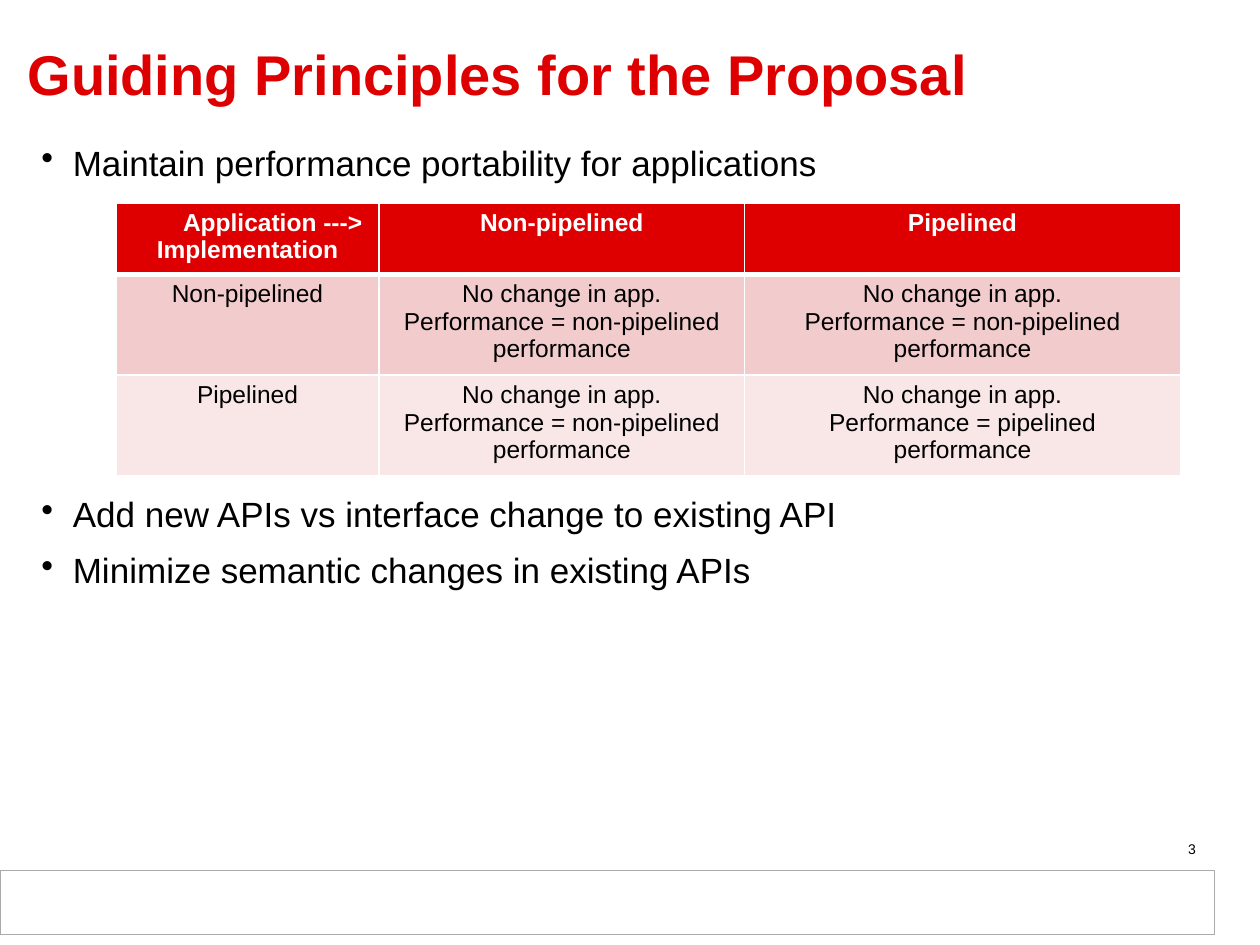
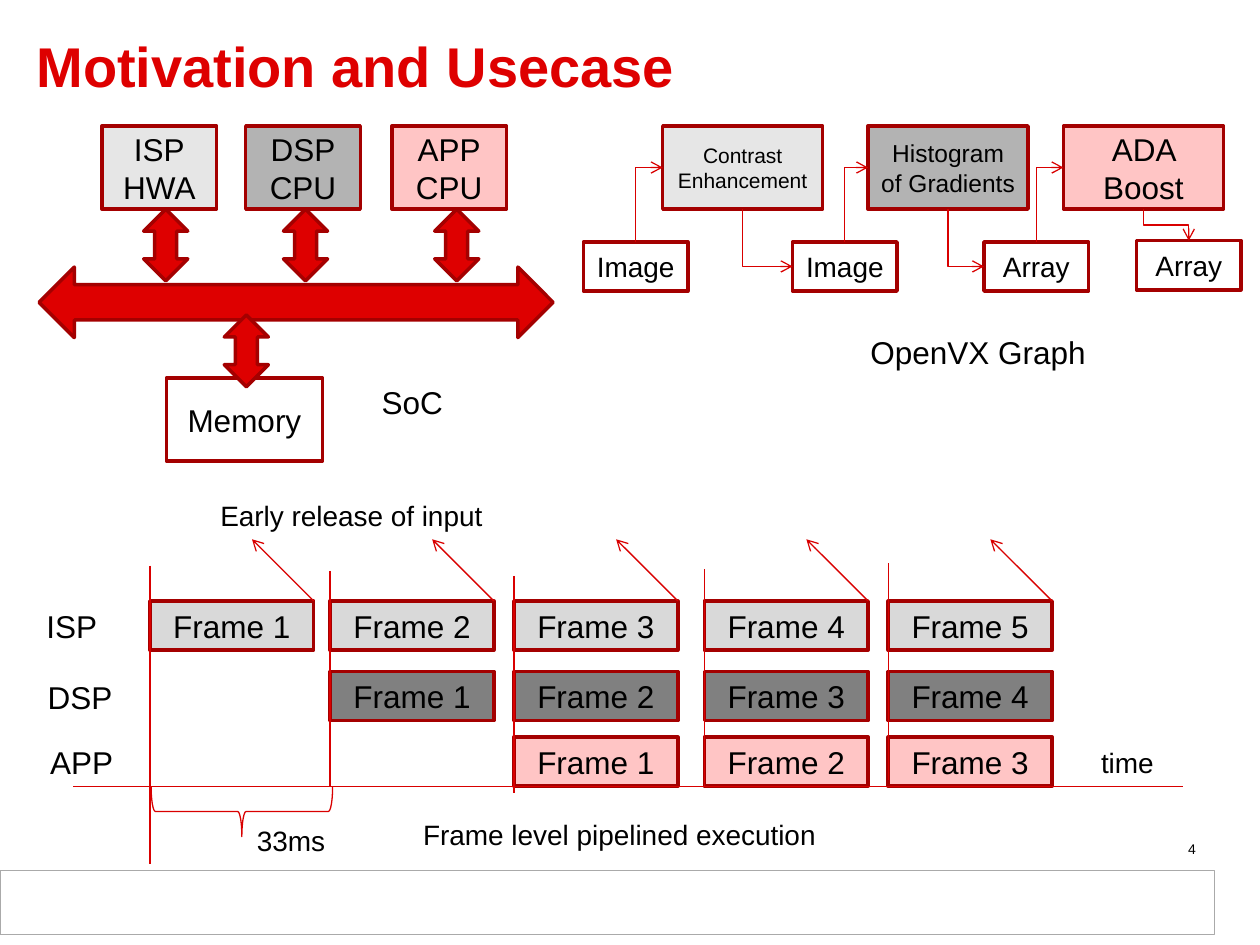
from lxml import etree
from pptx import Presentation
from pptx import util as u
from pptx.dml.color import RGBColor
from pptx.enum import shapes, text
from pptx.oxml.ns import qn

RED, DARK_RED, LINE_RED = "DE0000", "A40000", "D90000"
WHITE, BLACK, PINK = "FFFFFF", "000000", "FFC5C5"
LIGHT, MID = "E6E6E6", "B3B3B3"
SHAPE = shapes.MSO_SHAPE
CENTER, RIGHT = text.PP_ALIGN.CENTER, text.PP_ALIGN.RIGHT
MIDDLE = text.MSO_ANCHOR.MIDDLE
INSET = 0.09


def color(value):
    """Turn a hex string into a colour."""
    return RGBColor.from_string(value)


def inches(*lengths):
    """Convert several lengths to inches."""
    return [u.Inches(v) for v in lengths]


def write(tf, lines, size, hue=BLACK, bold=False, **formats):
    """Fill a text frame with one formatted paragraph per line."""
    for i, line in enumerate(lines):
        p = tf.paragraphs[0] if i == 0 else tf.add_paragraph()
        for name, value in formats.items():
            setattr(p, name, value)
        r = p.add_run()
        r.text = line
        font = {"name": "Arial", "size": u.Pt(size), "bold": bold}
        for name, value in font.items():
            setattr(r.font, name, value)
        r.font.color.rgb = color(hue)


def label(sp, x, y, w, h, line, size, wrap=False, anchor=None, **formats):
    """Add a text box with one line."""
    tf = sp.add_textbox(*inches(x, y, w, h)).text_frame
    tf.word_wrap = wrap
    if anchor is not None:
        tf.vertical_anchor = anchor
    write(tf, [line], size, **formats)


def block(sp, x, y, w, h, fill=None, line=DARK_RED, weight=2, kind=SHAPE.RECTANGLE, lines=(), size=18):
    """Add a preset shape with centred text."""
    shape = sp.add_shape(kind, *inches(x, y, w, h))
    shape.shadow.inherit = False
    if fill:
        shape.fill.solid()
        shape.fill.fore_color.rgb = color(fill)
    else:
        shape.fill.background()
    if line:
        shape.line.color.rgb = color(line)
        shape.line.width = u.Pt(weight)
    else:
        shape.line.fill.background()
    tf = shape.text_frame
    settings = {"word_wrap": True, "vertical_anchor": MIDDLE,
                "margin_left": u.Inches(INSET), "margin_right": u.Inches(INSET)}
    for name, value in settings.items():
        setattr(tf, name, value)
    write(tf, lines, size, alignment=CENTER)
    return shape


def line(sp, x1, y1, x2, y2, arrow=False, kind=shapes.MSO_CONNECTOR.STRAIGHT):
    """Add a thin red connector, with an optional arrowhead at its end."""
    c = sp.add_connector(kind, *inches(x1, y1, x2, y2))
    c.line.color.rgb = color(LINE_RED)
    c.line.width = u.Pt(0.75)
    if arrow:
        etree.SubElement(c.line._get_or_add_ln(), qn("a:tailEnd"), type="arrow")
    etree.SubElement(c.element.spPr, qn("a:effectLst"))
    return c


def elbow(sp, start, start_site, end, end_site):
    """Join two shapes by a bent arrow that leaves vertically."""
    c = line(sp, 0, 0, 1, 1, True, shapes.MSO_CONNECTOR.ELBOW)
    c.begin_connect(start, start_site)
    c.end_connect(end, end_site)
    dx, dy = c.end_x - c.begin_x, c.end_y - c.begin_y
    mid_x, mid_y = c.begin_x + dx // 2, c.begin_y + dy // 2
    w, h = abs(dy), abs(dx)
    frame = {"left": mid_x - w // 2, "top": mid_y - h // 2, "width": w, "height": h}
    for name, value in frame.items():
        setattr(c, name, value)
    xfrm = c.element.spPr.find(qn("a:xfrm"))
    xfrm.set("rot", str((90 if dy < 0 else 270) * 60000))
    xfrm.set("flipH", "1")
    xfrm.set("flipV", "1" if dy < 0 else "0")
    if end_site == 1:
        c.element.spPr.find(qn("a:prstGeom")).set("prst", "bentConnector2")


def base_slide(prs, title, x, y, number):
    """Add a slide with its title, footer band and page number."""
    s = prs.slides.add_slide(prs.slide_layouts[6])
    block(s.shapes, 0.05, 6.92, 9.56, 0.5, WHITE, None)
    block(s.shapes, 0, 6.91, 9.64, 0.51, WHITE, "AAAAAA", 0.75)
    label(s.shapes, x, y, 9.25, 0.89, title, 32, True, MIDDLE, hue=RED, bold=True, line_spacing=0.85)
    label(s.shapes, 7.26, 6.62, 2.33, 0.23, number, 8, True, alignment=RIGHT)
    return s


def indent(p, left, first=0):
    """Set the left and first-line indents of a paragraph."""
    pPr = p._p.get_or_add_pPr()
    pPr.set("marL", str(u.Inches(left)))
    pPr.set("indent", str(u.Inches(first)))
    return pPr


def bullets(s, x, y, w, h, items):
    """Add bulleted lines, each with its own space before."""
    tf = s.shapes.add_textbox(*inches(x, y, w, h)).text_frame
    tf.word_wrap = True
    write(tf, [item for item, _ in items], 20)
    for p, (_, gap) in zip(tf.paragraphs, items):
        p.space_before = u.Pt(gap)
        etree.SubElement(indent(p, 0.25, -0.25), qn("a:buChar"), char="•")


def borders(cell, header):
    """Draw white cell borders, thicker below the header."""
    tcPr = cell._tc.get_or_add_tcPr()
    for side in "LRTB":
        weight = 3 if header and side == "B" else 1
        ln = etree.SubElement(tcPr, qn("a:ln" + side), w=str(u.Pt(weight)))
        fill = etree.SubElement(ln, qn("a:solidFill"))
        etree.SubElement(fill, qn("a:srgbClr"), val=WHITE)


def performance_table(s, x, y, widths, heights):
    """Compare application and implementation kinds in a table."""
    def outcome(kind):
        return ["No change in app.", f"Performance = {kind} performance"]

    rows = [
        [["Application --->", "Implementation"], ["Non-pipelined"], ["Pipelined"]],
        [["Non-pipelined"], outcome("non-pipelined"), outcome("non-pipelined")],
        [["Pipelined"], outcome("non-pipelined"), outcome("pipelined")],
    ]
    table = s.shapes.add_table(3, 3, *inches(x, y, sum(widths), sum(heights))).table
    for column, w in zip(table.columns, widths):
        column.width = u.Inches(w)
    for i, (row, fill) in enumerate(zip(rows, (RED, "F2CCCC", "F9E7E7"))):
        table.rows[i].height = u.Inches(heights[i])
        for j, lines in enumerate(row):
            cell = table.cell(i, j)
            borders(cell, i == 0)
            cell.fill.solid()
            cell.fill.fore_color.rgb = color(fill)
            write(cell.text_frame, lines, 14, BLACK if i else WHITE, i == 0, alignment=CENTER)
    indent(table.cell(0, 0).text_frame.paragraphs[0], 0.4)


def soc_diagram(s, x, y):
    """Draw the processors, the bus and the memory."""
    sp = s.shapes.add_group_shape().shapes
    block(sp, x, y + 1.12, 4.08, 0.56, RED, kind=SHAPE.LEFT_RIGHT_ARROW)
    units = [(0.5, LIGHT, ["ISP", "HWA"]), (1.64, MID, ["DSP", "CPU"]), (2.8, PINK, ["APP", "CPU"])]
    for dx, fill, lines in units:
        block(sp, x + dx, y, 0.91, 0.66, fill, lines=lines)
    block(sp, x + 1.01, y + 2, 1.24, 0.66, lines=["Memory"])
    for dx, dy in [(0.83, 0.66), (1.94, 0.66), (3.14, 0.66), (1.47, 1.5)]:
        block(sp, x + dx, y + dy, 0.35, 0.57, RED, kind=SHAPE.UP_DOWN_ARROW)
    label(sp, x + 2.62, y + 1.99, 0.69, 0.4, "SoC", 18)


def vision_graph(s, x, y):
    """Draw the processing stages and the data between them."""
    sp = s.shapes.add_group_shape().shapes
    stages = [block(sp, x + dx, y, 1.27, 0.66, fill, lines=[name], size=size)
              for dx, fill, name, size in [(0.63, LIGHT, "Contrast Enhancement", 12),
                                           (2.26, MID, "Histogram of Gradients", 14),
                                           (3.81, PINK, "ADA Boost", 18)]]
    data = [block(sp, x + dx, y + dy, 0.83, 0.39, lines=[name], size=16)
            for dx, dy, name in [(0, 0.92, "Image"), (1.66, 0.92, "Image"),
                                 (3.18, 0.92, "Array"), (4.39, 0.91, "Array")]]
    for i, stage in enumerate(stages):
        elbow(sp, data[i], 0, stage, 1)
        elbow(sp, stage, 2, data[i + 1], 0 if i == 2 else 1)
    label(sp, x + 2.18, y + 1.59, 1.93, 0.4, "OpenVX Graph", 18)


def timeline(s, x, y):
    """Draw the pipelined frames over time."""
    sp = s.shapes
    frame_w, release = 1.3, 0.49
    columns = [(0.92, 0.58, 2.95), (2.35, 0.62, 2.33), (3.81, 0.66, 2.38),
               (5.32, 0.61, 2.33), (6.78, 0.56, 2.28)]
    lanes = [("ISP", 0, 0.86, 0.61, "D9D9D9"), ("DSP", 0.01, 1.42, 0.72, "808080"),
             ("APP", 0.03, 1.94, 0.76, PINK)]
    for delay, (name, name_dx, dy, name_w, fill) in enumerate(lanes):
        label(sp, x + name_dx, y + dy, name_w, 0.4, name, 18)
        for n, (dx, _, _) in enumerate(columns[delay:], 1):
            block(sp, x + dx, y + dy, frame_w, 0.39, fill, lines=[f"Frame {n}"])
    line(sp, x + 0.31, y + 2.33, x + 9.12, y + 2.33)
    for dx, top, bottom in columns:
        line(sp, x + dx, y + top, x + dx, y + bottom)
        corner_x, corner_y = x + dx + frame_w, y + 0.86
        line(sp, corner_x, corner_y, corner_x - release, corner_y - release, True)
    brace = block(sp, x + 1.45, y + 1.81, 0.4, 1.44, None, LINE_RED, 0.75, SHAPE.LEFT_BRACE)
    brace.rotation = 270
    label(sp, x + 1.67, y + 2.58, 0.75, 0.37, "33ms", 16)
    label(sp, x + 8.37, y + 1.96, 0.63, 0.37, "time", 16)
    label(sp, x + 2.99, y + 2.53, 3.54, 0.37, "Frame level pipelined execution", 16, True)
    label(sp, x + 1.38, y, 3.54, 0.37, "Early release of input", 16, True)


def main():
    """Build and save both slides."""
    prs = Presentation()
    prs.slide_width, prs.slide_height = inches(10, 7.5)

    s = base_slide(prs, "Guiding Principles for the Proposal", 0.12, 0.18, "3")
    bullets(s, 0.23, 1.07, 9.26, 5.41, [
        ("Maintain performance portability for applications", 8),
        ("Add new APIs vs interface change to existing API", 177),
        ("Minimize semantic changes in existing APIs", 8),
    ])
    performance_table(s, 0.92, 1.61, [2.09, 2.9, 3.46], [0.53, 0.76, 0.76])

    s = base_slide(prs, "Motivation and Usecase", 0.19, 0.11, "4")
    timeline(s, 0.27, 3.91)
    vision_graph(s, 4.63, 1)
    soc_diagram(s, 0.31, 1)

    prs.save("out.pptx")


if __name__ == "__main__":
    main()
